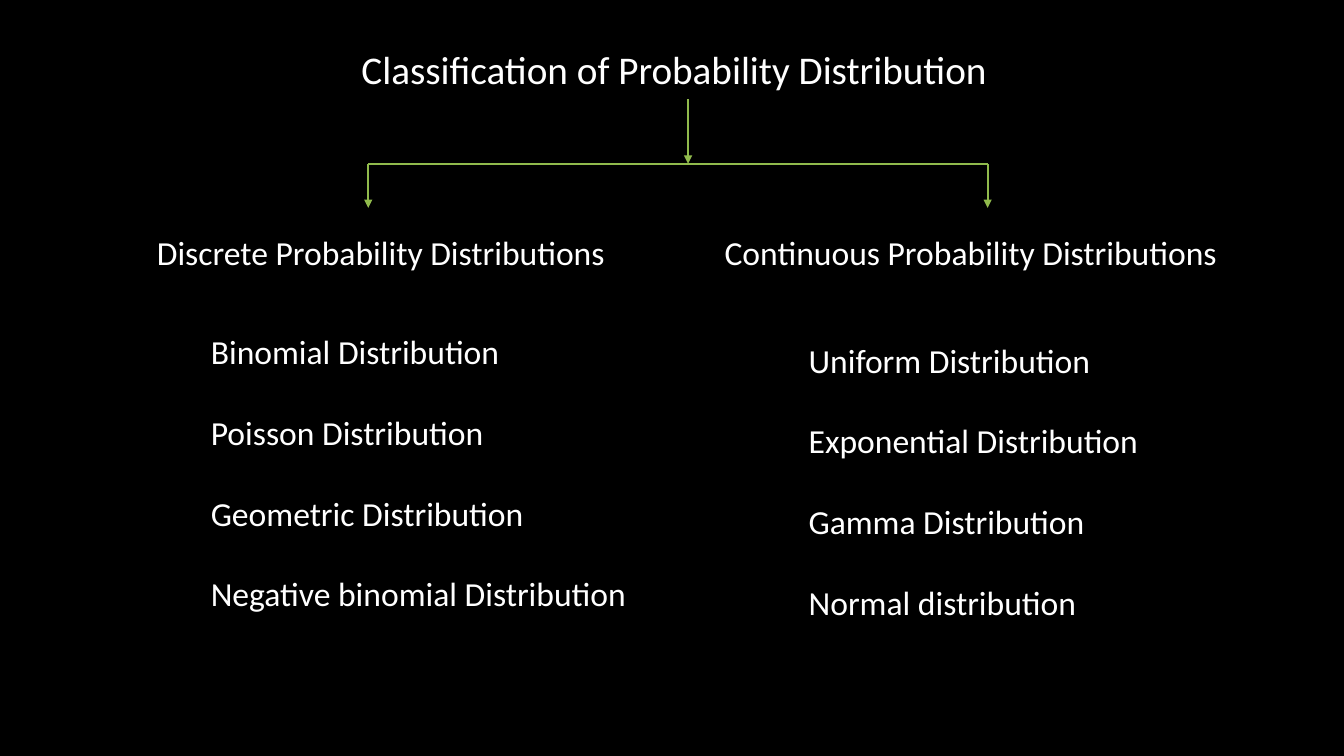
from lxml.etree import SubElement
from pptx import Presentation
from pptx.dml.color import RGBColor
from pptx.enum.shapes import MSO_CONNECTOR
from pptx.enum.text import MSO_ANCHOR, MSO_AUTO_SIZE, PP_ALIGN
from pptx.oxml.ns import qn
from pptx.util import Pt

BLACK = RGBColor(0x00, 0x00, 0x00)
WHITE = RGBColor(0xFF, 0xFF, 0xFF)
GREEN = RGBColor(0x90, 0xBA, 0x4C)

prs = Presentation()
prs.slide_width, prs.slide_height = Pt(960), Pt(540)
slide = prs.slides.add_slide(prs.slide_layouts[5])
slide.background.fill.solid()
slide.background.fill.fore_color.rgb = BLACK


def write(text, *, box, shape=None, size=24, align=PP_ALIGN.LEFT, gap=0):
    """Put text, one paragraph a line, in shape or in a new text box."""
    left, top, width, height = (Pt(length) for length in box)
    if shape is None:
        shape = slide.shapes.add_textbox(left, top, width, height)
    shape.left, shape.top, shape.width, shape.height = left, top, width, height
    frame = shape.text_frame
    frame.text = text
    frame.word_wrap = True
    frame.auto_size = MSO_AUTO_SIZE.NONE
    frame.vertical_anchor = MSO_ANCHOR.TOP
    for index, paragraph in enumerate(frame.paragraphs):
        paragraph.alignment = align
        paragraph.space_before = Pt(gap if index else 0)
        paragraph.font.name = "Calibri"
        paragraph.font.size = Pt(size)
        paragraph.font.color.rgb = WHITE


def connect(x1, y1, x2, y2, arrow=True):
    line = slide.shapes.add_connector(
        MSO_CONNECTOR.STRAIGHT, Pt(x1), Pt(y1), Pt(x2), Pt(y2))
    line.line.color.rgb = GREEN
    line.line.width = Pt(1.5)
    properties = line._element.spPr
    if arrow:
        SubElement(properties.find(qn("a:ln")), qn("a:tailEnd"), type="triangle")
    SubElement(properties, qn("a:effectLst"))


write("Classification of Probability Distribution", shape=slide.shapes.title,
      box=(251, 29, 467, 41), size=28)

trunk_x, trunk_top, branch_y, branch_end = 491.5, 71, 117, 148.5
discrete_x, continuous_x = 263, 705.5
connect(trunk_x, trunk_top, trunk_x, branch_y)
connect(discrete_x, branch_y, continuous_x, branch_y, arrow=False)
for branch_x in (discrete_x, continuous_x):
    connect(branch_x, branch_y, branch_x, branch_end)

families = [
    ("Discrete Probability Distributions", (105, 162, 353, 36),
     ["Binomial Distribution", "Poisson Distribution",
      "Geometric Distribution", "Negative binomial Distribution"],
     (143.5, 233, 320, 233), PP_ALIGN.LEFT),
    ("Continuous Probability Distributions", (510.5, 162, 369, 36),
     ["Uniform Distribution", "Exponential Distribution",
      "Gamma Distribution", "Normal distribution"],
     (570.5, 239, 279, 236), PP_ALIGN.JUSTIFY),
]
for heading, heading_box, members, members_box, align in families:
    write(heading, box=heading_box)
    write("\n".join(members), box=members_box, align=align, gap=28.8)

prs.save("out.pptx")
